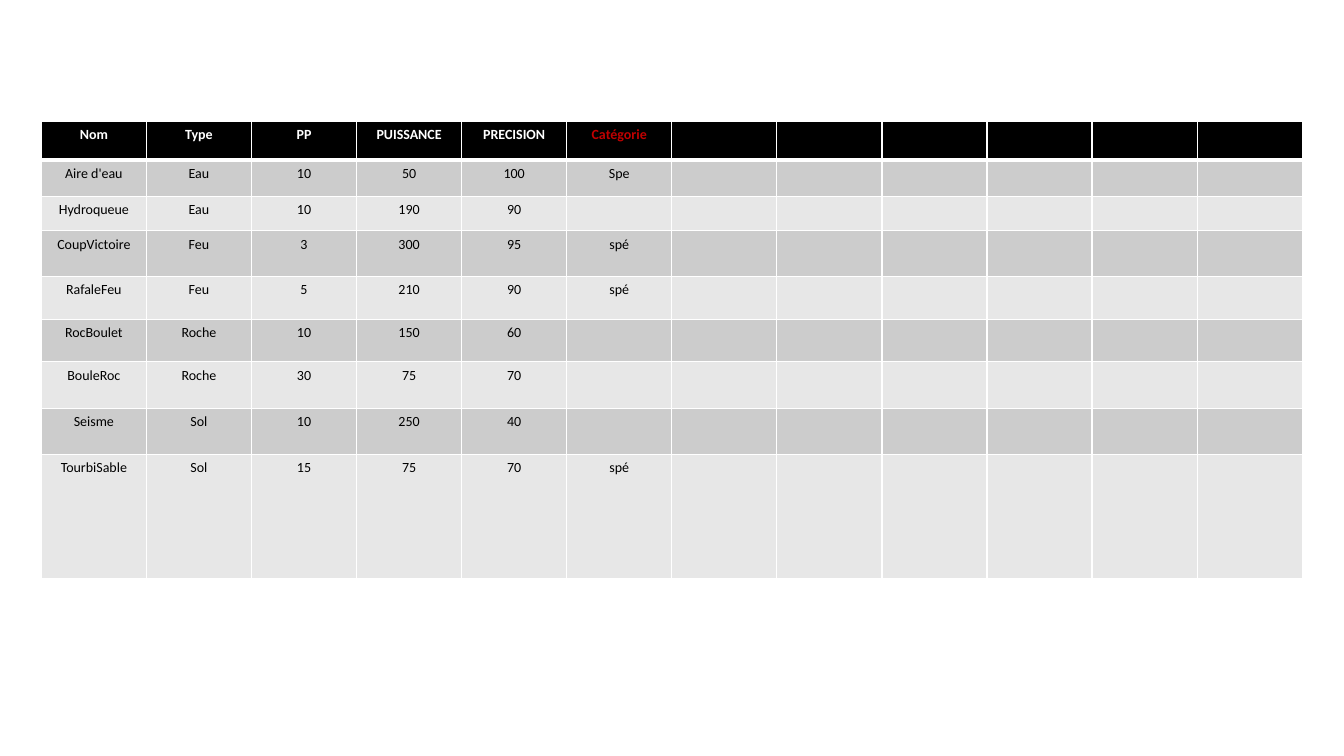
import pptx
import pptx.dml.color
import pptx.enum.text
import pptx.oxml.ns
import pptx.util
from lxml import etree

THEME = {
    "font": "Calibri",
    "size": 10,
    "header_fill": "000000",
    "header_text": "FFFFFF",
    "accent_text": "C00000",
    "body_text": "000000",
    "bands": ("CCCCCC", "E7E7E7"),
    "border": "FFFFFF",
    "thin": 1,
    "thick": 3,
}

SLIDE_SIZE = (13.33, 7.5)
TABLE_BOX = (0.41, 1.2, 12.51)
COLUMN_COUNT = 12
ROW_HEIGHTS = (0.39, 0.36, 0.34, 0.45, 0.43, 0.42, 0.46, 0.46, 1.23)
HIGHLIGHTED = "Catégorie"

ATTACKS = (
    ("Nom", "Type", "PP", "PUISSANCE", "PRECISION", HIGHLIGHTED),
    ("Aire d'eau", "Eau", "10", "50", "100", "Spe"),
    ("Hydroqueue", "Eau", "10", "190", "90"),
    ("CoupVictoire", "Feu", "3", "300", "95", "spé"),
    ("RafaleFeu", "Feu", "5", "210", "90", "spé"),
    ("RocBoulet", "Roche", "10", "150", "60"),
    ("BouleRoc", "Roche", "30", "75", "70"),
    ("Seisme", "Sol", "10", "250", "40"),
    ("TourbiSable", "Sol", "15", "75", "70", "spé"),
)


def rgb(code):
    return pptx.dml.color.RGBColor.from_string(code)


def set_borders(cell, widths):
    """Draw the cell's sides; widths maps L, R, T, B to points."""
    properties = cell._tc.get_or_add_tcPr()
    qn = pptx.oxml.ns.qn
    for side, width in widths.items():
        line = etree.SubElement(properties, qn(f"a:ln{side}"), w=str(pptx.util.Pt(width)))
        fill = etree.SubElement(line, qn("a:solidFill"))
        etree.SubElement(fill, qn("a:srgbClr"), val=THEME["border"])


def write_cell(cell, text, bold, color):
    para = cell.text_frame.paragraphs[0]
    para.alignment = pptx.enum.text.PP_ALIGN.CENTER
    if not text:
        # An empty cell keeps the small type size, so its row stays low
        end = para._p.get_or_add_endParaRPr()
        end.set("sz", str(THEME["size"] * 100))
        return
    span = para.add_run()
    span.text = text
    formats = {"name": THEME["font"], "size": pptx.util.Pt(THEME["size"]), "bold": bold}
    for name, value in formats.items():
        setattr(span.font, name, value)
    span.font.color.rgb = rgb(color)


def add_attack_table(page, box):
    left, top, width = box
    frame = page.shapes.add_table(
        len(ATTACKS), COLUMN_COUNT,
        *(pptx.util.Inches(n) for n in (left, top, width, sum(ROW_HEIGHTS))))
    table = frame.table

    # Grid: equal columns, rows of given height
    for column in table.columns:
        column.width = pptx.util.Inches(width / COLUMN_COUNT)
    for row, height in zip(table.rows, ROW_HEIGHTS):
        row.height = pptx.util.Inches(height)

    # Cells: black header, then two alternating bands
    for r, texts in enumerate(ATTACKS):
        header = r == 0
        fill = THEME["header_fill"] if header else THEME["bands"][(r - 1) % 2]
        widths = dict.fromkeys("LRTB", THEME["thin"])
        if header:
            widths["B"] = THEME["thick"]
        elif r == 1:
            widths["T"] = THEME["thick"]
        for c in range(COLUMN_COUNT):
            cell = table.cell(r, c)
            text = texts[c] if c < len(texts) else ""
            color = THEME["header_text"] if header else THEME["body_text"]
            if text == HIGHLIGHTED:
                color = THEME["accent_text"]
            set_borders(cell, widths)
            cell.fill.solid()
            cell.fill.fore_color.rgb = rgb(fill)
            write_cell(cell, text, header, color)


def main():
    deck = pptx.Presentation()
    deck.slide_width, deck.slide_height = (pptx.util.Inches(n) for n in SLIDE_SIZE)
    page = deck.slides.add_slide(deck.slide_layouts[6])
    add_attack_table(page, TABLE_BOX)
    deck.save("out.pptx")


if __name__ == "__main__":
    main()
